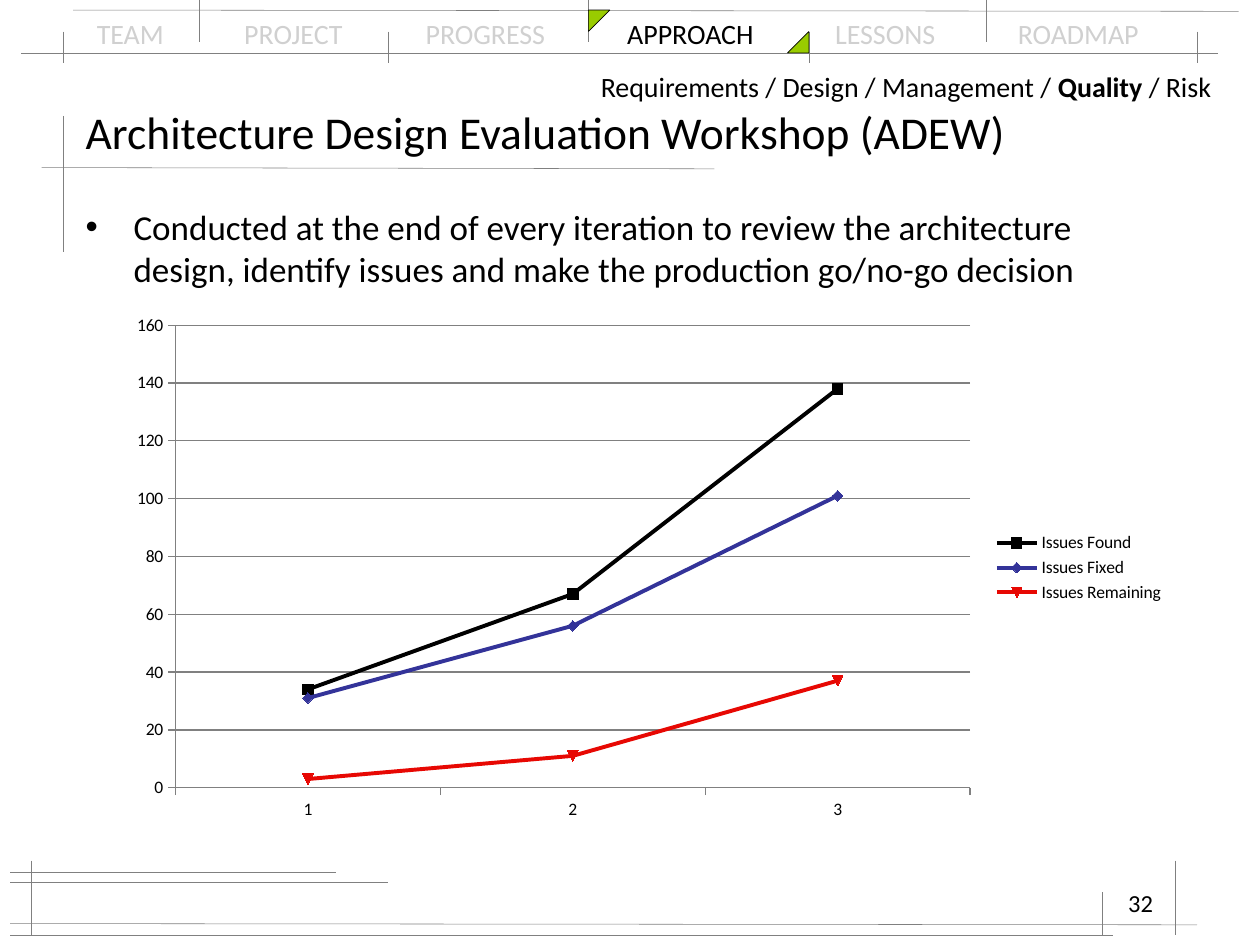
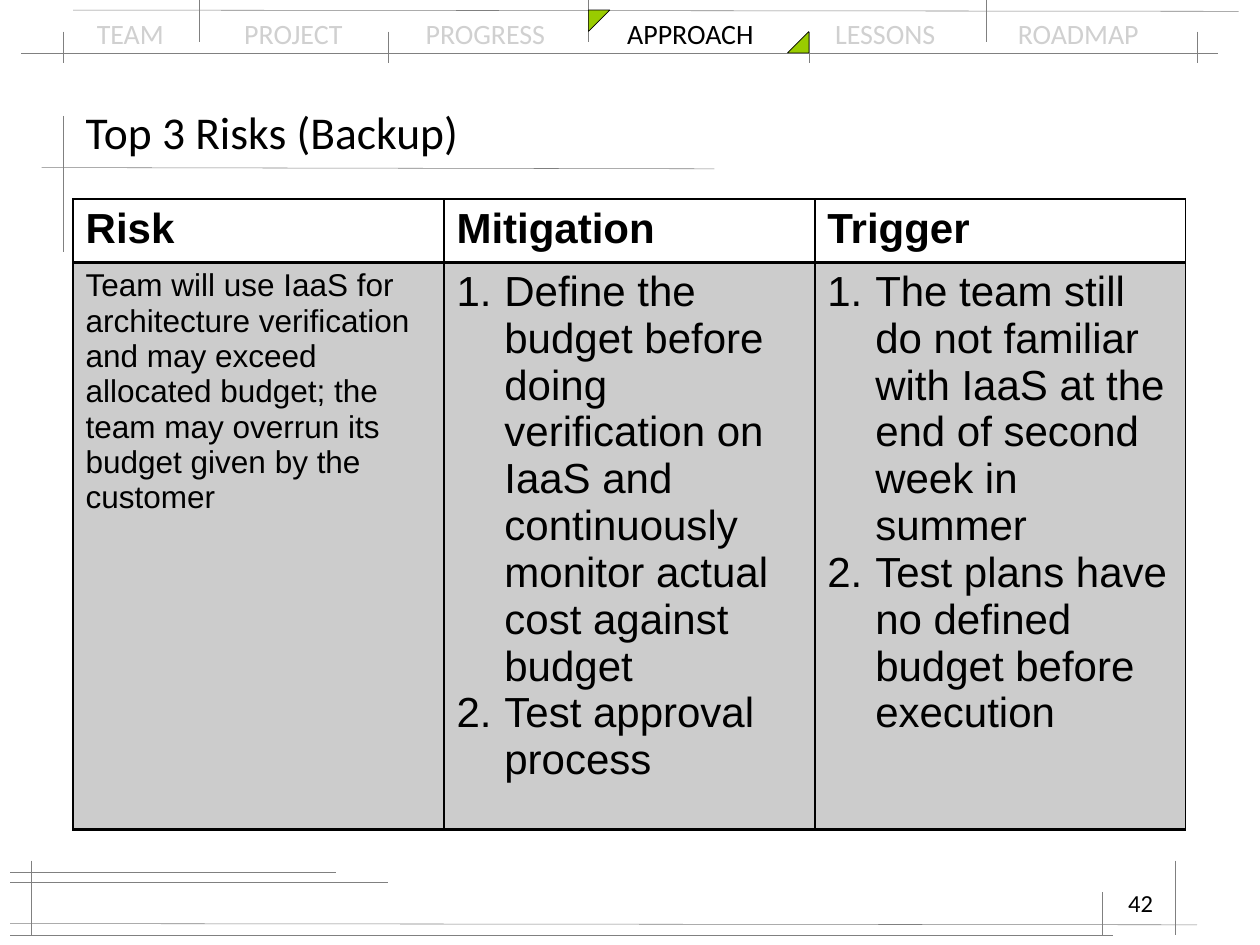
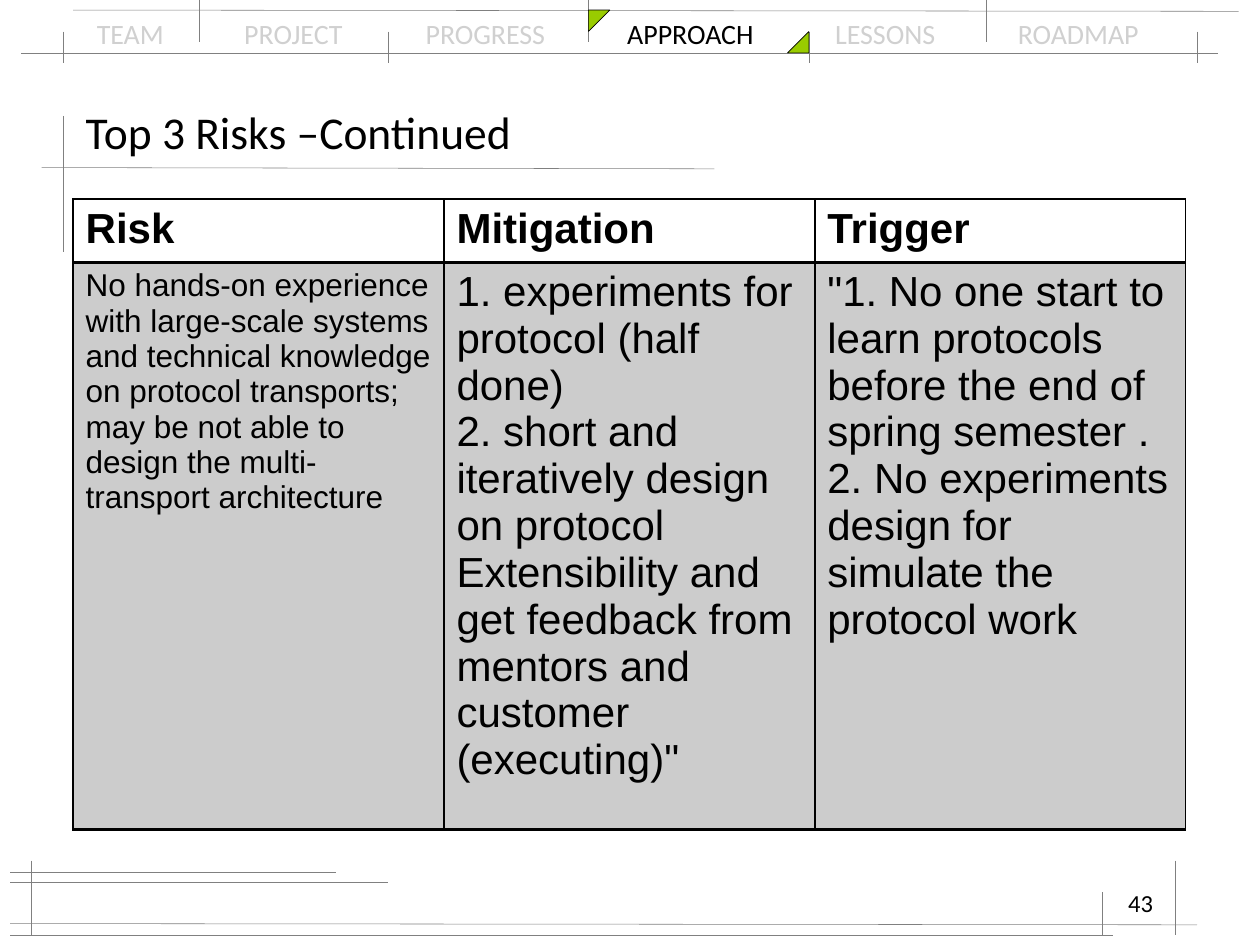
import pptx
import pptx.chart.data
import pptx.dml.color
import pptx.enum.chart
import pptx.enum.shapes
import pptx.enum.text
import pptx.oxml
import pptx.oxml.ns
import pptx.util
from lxml import etree

Inches = pptx.util.Inches
Pt = pptx.util.Pt
RGBColor = pptx.dml.color.RGBColor
MIDDLE = pptx.enum.text.MSO_ANCHOR.MIDDLE
TOP = pptx.enum.text.MSO_ANCHOR.TOP

BLACK = RGBColor(0x00, 0x00, 0x00)
PALE = RGBColor(0xD0, 0xD0, 0xD0)
GRAY = RGBColor(0x80, 0x80, 0x80)
GREEN = RGBColor(0x99, 0xCC, 0x00)
BLUE = RGBColor(0x33, 0x33, 0x99)
RED = RGBColor(0xE7, 0x08, 0x03)

TITLE = {"name": "Calibri", "size": Pt(26), "bold": False}
BODY = {"name": "Calibri", "size": Pt(20)}
NAV = {"name": "Calibri", "size": Pt(16)}
PAGE = {"name": "Calibri", "size": Pt(14)}
AXIS = {"name": "Calibri", "size": Pt(10)}
HEAD = {"name": "Arial", "size": Pt(24), "bold": True}
CELL = {"name": "Arial", "size": Pt(24), "bold": False}
RISK = {"name": "Arial", "size": Pt(18), "bold": False}

TABS = ["TEAM", "PROJECT", "PROGRESS", "APPROACH", "LESSONS", "ROADMAP"]
STOPS = [1.17, 2.61, 4.21, 5.86, 7.31]
RULES = [
    (0.17, 0.42, 9.67, 0.42), (0.58, 0.08, 9.83, 0.09),
    (0.5, 0.92, 0.5, 2), (0.33, 1.33, 5.67, 1.34),
    (0.08, 7, 3.08, 7), (0.08, 7.33, 9.5, 7.34),
    (0.25, 6.83, 0.25, 7.42), (0.08, 6.92, 2.67, 6.92),
    (0.08, 7.42, 8.83, 7.42), (9.33, 6.83, 9.33, 7.42),
    (8.75, 7.08, 8.75, 7.42),
]
RULES += [(x, 0.25, x, 0.5) for x in (0.5, 3.08, 6.42, 9.5)]
RULES += [(x, -0.25, x, 0.33) for x in (1.58, 4.67, 7.83)]
MARKS = [(4.67, 0.08, 90), (6.25, 0.25, 270)]

TITLE_BOX = (0.58, 0.75, 8.83, 0.58)
BODY_BOX = (0.58, 1.58, 8.83, 4.5)
NAV_BOX = (0.67, 0.08, 8.67, 0.37)
CRUMB_BOX = (4.67, 0.5, 5.08, 0.37)
PAGE_BOX = (7.17, 7, 2.08, 0.5)
CHART_BOX = (0.92, 2.42, 8.42, 4.17)
TABLE_BOX = (0.58, 1.58, 8.83, 4.66)
HEAD_H = 0.47

ISSUES = [
    ("Issues Found", (34, 67, 138), BLACK),
    ("Issues Fixed", (31, 56, 101), BLUE),
    ("Issues Remaining", (3, 11, 37), RED),
]
HEADS = ["Risk", "Mitigation", "Trigger"]
BUDGET = [
    ["Team will use IaaS for architecture verification and may exceed allocated budget; "
     "the team may overrun its budget given by the customer"],
    ["Define the budget before doing verification on IaaS and continuously monitor "
     "actual cost against budget", "Test approval process"],
    ["The team still do not familiar with IaaS at the end of second week in summer",
     "Test plans have no defined budget before execution"],
]
SKILLS = [
    ["No hands-on experience with large-scale systems and technical knowledge on protocol "
     "transports; may be not able to design the multi-transport architecture"],
    ["1. experiments for protocol (half done)",
     "2. short and iteratively design on protocol Extensibility and get feedback from "
     "mentors and customer (executing)\""],
    ["\"1. No one start to learn protocols before the end of spring semester .",
     "2. No experiments design for simulate the protocol work"],
]


def style(font, fmt, color=BLACK):
    """Apply a dict of format values and a colour to a font."""
    for key, value in fmt.items():
        setattr(font, key, value)
    font.color.rgb = color


def inch(box):
    """Turn a box of numbers into lengths."""
    return [Inches(v) for v in box]


def node(parent, tag, **attrs):
    """Add a DrawingML element under a parent."""
    item = etree.SubElement(parent, pptx.oxml.ns.qn("a:" + tag))
    for key, value in attrs.items():
        item.set(key, str(value))
    return item


def bullet(para, kind, **attrs):
    """Give a paragraph a hanging bullet or number."""
    props = para._p.get_or_add_pPr()
    props.set("marL", str(Inches(0.38)))
    props.set("indent", str(-Inches(0.38)))
    node(props, kind, **attrs)


def write(para, runs, fmt):
    """Fill a paragraph with text, colour and weight runs."""
    for text, color, bold in runs:
        run = para.add_run()
        run.text = text
        style(run.font, {**fmt, "bold": bold}, color)


def label(slide, box, runs, fmt):
    """Add a wrapping text box and return its paragraph."""
    frame = slide.shapes.add_textbox(*inch(box)).text_frame
    frame.word_wrap = True
    para = frame.paragraphs[0]
    write(para, runs, fmt)
    return para


def fill(shape, box, text, fmt, anchor):
    """Place a placeholder and set its one paragraph."""
    shape.left, shape.top, shape.width, shape.height = inch(box)
    frame = shape.text_frame
    frame.auto_size = pptx.enum.text.MSO_AUTO_SIZE.NONE
    frame.vertical_anchor = anchor
    frame.text = text
    para = frame.paragraphs[0]
    para.alignment = pptx.enum.text.PP_ALIGN.LEFT
    para.space_before = Pt(0)
    style(para.runs[0].font, fmt)
    return para


def grid(slide):
    """Draw the thin rules and the two corner marks."""
    for rule in RULES:
        line = slide.shapes.add_connector(
            pptx.enum.shapes.MSO_CONNECTOR.STRAIGHT, *inch(rule))
        line.line.color.rgb = GRAY
        line.line.width = Pt(0.3)
        node(line._element.spPr, "effectLst")
    for x, y, turn in MARKS:
        mark = slide.shapes.add_shape(
            pptx.enum.shapes.MSO_SHAPE.RIGHT_TRIANGLE, *inch((x, y, 0.17, 0.17)))
        mark.rotation = turn
        mark.shadow.inherit = False
        mark.fill.solid()
        mark.fill.fore_color.rgb = GREEN
        mark.line.color.rgb = BLACK
        mark.line.width = Pt(0.3)


def nav(slide, box, active):
    """Write the section names on tab stops, the active one in black."""
    runs = [("\t" * (i > 0) + name, BLACK if name == active else PALE, False)
            for i, name in enumerate(TABS)]
    para = label(slide, box, runs, NAV)
    stops = node(para._p.get_or_add_pPr(), "tabLst")
    for stop in STOPS:
        node(stops, "tab", pos=Inches(stop), algn="l")


def start(deck, layout, title, page):
    """Add a slide with the shared frame, title and page number."""
    slide = deck.slides.add_slide(deck.slide_layouts[layout])
    nav(slide, NAV_BOX, "APPROACH")
    grid(slide)
    fill(slide.shapes.title, TITLE_BOX, title, TITLE, MIDDLE)
    para = label(slide, PAGE_BOX, [(page, BLACK, False)], PAGE)
    para.alignment = pptx.enum.text.PP_ALIGN.RIGHT
    return slide


def graph(slide, box):
    """Plot the issue counts of each iteration."""
    data = pptx.chart.data.CategoryChartData()
    data.categories = ["1", "2", "3"]
    for name, values, _ in ISSUES:
        data.add_series(name, values)
    chart = slide.shapes.add_chart(
        pptx.enum.chart.XL_CHART_TYPE.LINE_MARKERS, *inch(box), data).chart
    style(chart.font, AXIS)
    chart.has_title = False
    chart.has_legend = True
    chart.legend.position = pptx.enum.chart.XL_LEGEND_POSITION.RIGHT
    chart.legend.include_in_layout = False
    plot = chart.plots[0]
    plot.vary_by_categories = False
    for series, (_, _, color) in zip(plot.series, ISSUES):
        series.smooth = False
        series.format.line.color.rgb = color
        series.format.line.width = Pt(2.25)
        mark = series.marker
        mark.style = pptx.enum.chart.XL_MARKER_STYLE.AUTOMATIC
        mark.size = 6
        mark.format.fill.solid()
        mark.format.fill.fore_color.rgb = color
        mark.format.line.color.rgb = color
    axis = chart.value_axis
    axis.minimum_scale, axis.maximum_scale, axis.major_unit = 0, 160, 20
    axis.has_major_gridlines = True
    for part in (axis, chart.category_axis, axis.major_gridlines):
        part.format.line.color.rgb = GRAY
    for part in (axis, chart.category_axis):
        part.major_tick_mark = pptx.enum.chart.XL_TICK_MARK.OUTSIDE


def edge(cell, widths):
    """Draw the four black borders of a cell."""
    props = cell._tc.get_or_add_tcPr()
    for side, width in zip("LRTB", widths):
        line = node(props, "ln" + side, w=Pt(width))
        node(node(line, "solidFill"), "srgbClr", val=BLACK)


def shade(cell):
    """Fill a cell with black at one fifth opacity."""
    paint = node(cell._tc.get_or_add_tcPr(), "solidFill")
    node(node(paint, "srgbClr", val=BLACK), "alpha", val=20000)


def risks(slide, box, texts, auto):
    """Build the risk table below its header row."""
    table = slide.shapes.add_table(2, len(HEADS), *inch(box)).table
    table.first_row = table.horz_banding = False
    for row, height in zip(table.rows, (HEAD_H, box[3] - HEAD_H)):
        row.height = Inches(height)
    for col, (head, lines) in enumerate(zip(HEADS, texts)):
        top, cell = table.cell(0, col), table.cell(1, col)
        edge(top, (1, 1, 1, 2))
        top.fill.background()
        top.text = head
        style(top.text_frame.paragraphs[0].runs[0].font, HEAD)
        edge(cell, (1, 1, 2, 2))
        shade(cell)
        cell.text = "\n".join(lines)
        for para in cell.text_frame.paragraphs:
            if auto and col:
                bullet(para, "buAutoNum", type="arabicPeriod")
            style(para.runs[0].font, CELL if col else RISK)


def review(deck):
    """Add the evaluation workshop slide with its chart."""
    slide = start(deck, 1, "Architecture Design Evaluation Workshop (ADEW)", "32")
    para = fill(slide.placeholders[1], BODY_BOX,
                "Conducted at the end of every iteration to review the architecture design, "
                "identify issues and make the production go/no-go decision", BODY, TOP)
    bullet(para, "buChar", char="•")
    label(slide, CRUMB_BOX, [
        ("Requirements / Design / Management / ", BLACK, False),
        ("Quality", BLACK, True), (" / Risk", BLACK, False)], NAV)
    graph(slide, CHART_BOX)


def main():
    """Build and save the three slides."""
    deck = pptx.Presentation()
    deck.slide_width, deck.slide_height = Inches(10), Inches(7.5)
    review(deck)
    risks(start(deck, 5, "Top 3 Risks (Backup)", "42"), TABLE_BOX, BUDGET, True)
    risks(start(deck, 5, "Top 3 Risks –Continued", "43"), TABLE_BOX, SKILLS, False)
    deck.save("out.pptx")


if __name__ == "__main__":
    main()
